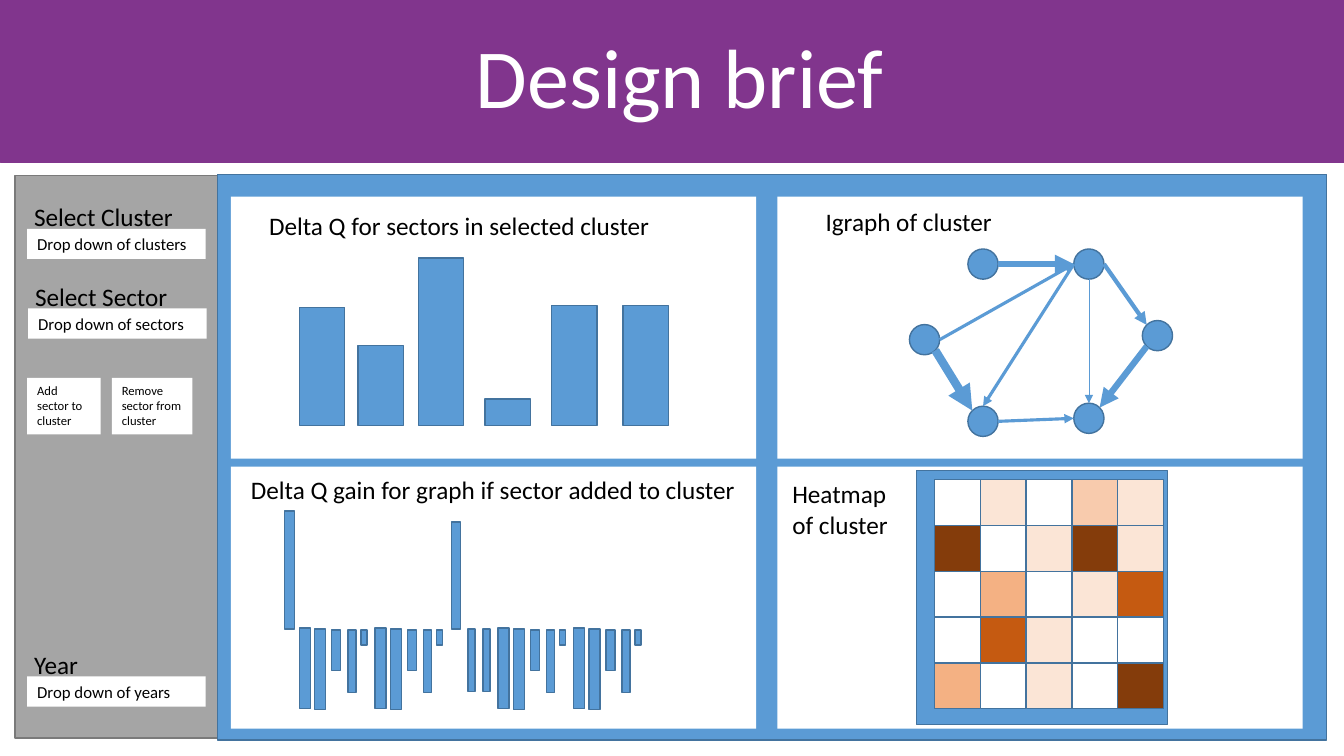
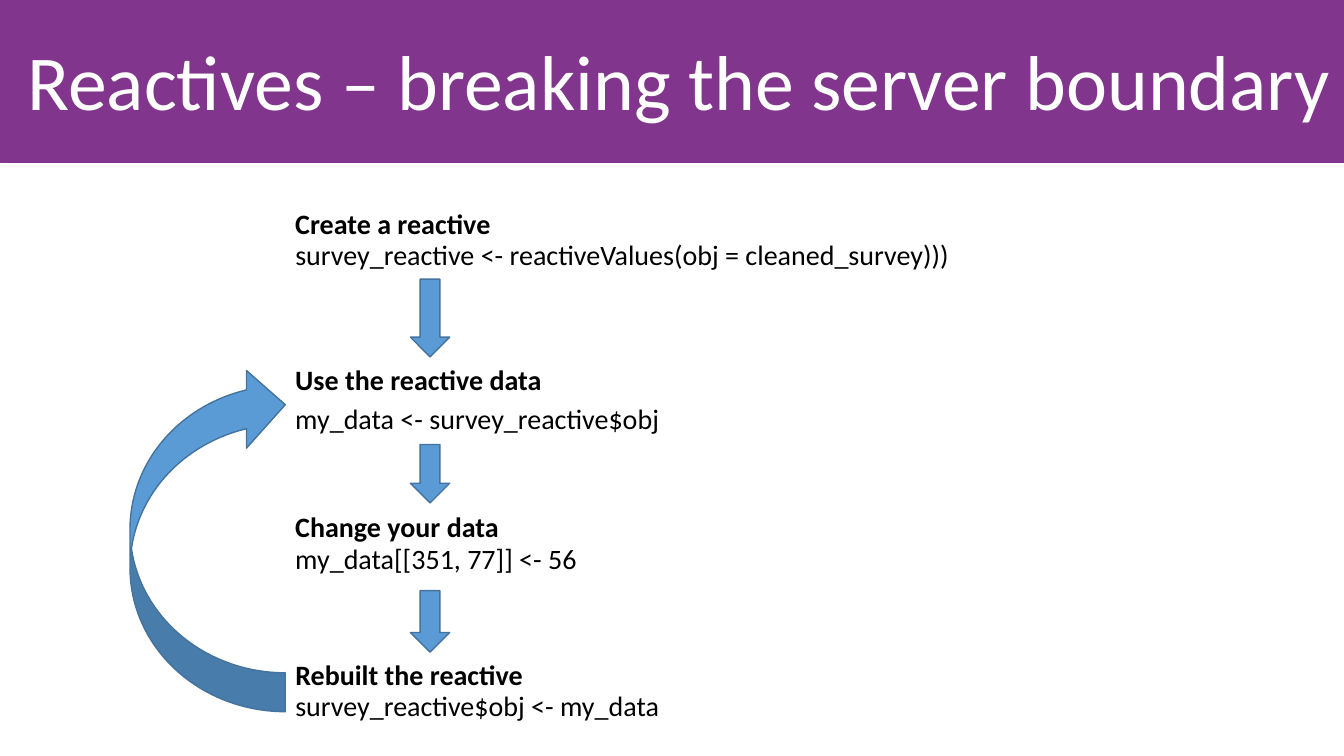
from lxml import etree
from pptx import Presentation
from pptx.dml.color import RGBColor
from pptx.enum.shapes import MSO_CONNECTOR, MSO_SHAPE
from pptx.enum.text import MSO_ANCHOR, MSO_AUTO_SIZE, PP_ALIGN
from pptx.oxml.ns import qn
from pptx.util import Inches, Pt

RECT, OVAL = MSO_SHAPE.RECTANGLE, MSO_SHAPE.OVAL
DOWN_ARROW, CURVED_ARROW = MSO_SHAPE.DOWN_ARROW, MSO_SHAPE.CURVED_RIGHT_ARROW
STRAIGHT = MSO_CONNECTOR.STRAIGHT
TOP, BOTTOM = MSO_ANCHOR.TOP, MSO_ANCHOR.BOTTOM
LEFT, CENTER = PP_ALIGN.LEFT, PP_ALIGN.CENTER
FIT, FIXED = MSO_AUTO_SIZE.SHAPE_TO_FIT_TEXT, MSO_AUTO_SIZE.NONE

FONT = "Calibri"
COLORS = {
    "purple": "81358D", "white": "FFFFFF", "black": "000000",
    "grey": "A5A5A5", "grey_edge": "7A7A7A",
    "blue": "5B9BD5", "blue_edge": "43739E",
    "heat1": "FBE5D6", "heat2": "F8CBAD", "heat3": "F4B183",
    "heat4": "C55A11", "heat5": "843C0B",
}
COLORS = {name: RGBColor.from_string(value) for name, value in COLORS.items()}


def add_block(shapes, left, top, width, height, kind=RECT, fill="blue",
              edge="blue_edge", weight=1):
    block = shapes.add_shape(kind, Inches(left), Inches(top),
                             Inches(width), Inches(height))
    block.shadow.inherit = False
    block.fill.solid()
    block.fill.fore_color.rgb = COLORS[fill]
    if edge:
        block.line.color.rgb = COLORS[edge]
        block.line.width = Pt(weight)
    else:
        block.line.fill.background()
    return block


def add_text(shapes, text, left, top, width, height, size=18, color="black",
             bold=False, align=LEFT, anchor=TOP, wrap=True, fit=FIT,
             spacing=None, fill=None):
    box = shapes.add_textbox(Inches(left), Inches(top),
                             Inches(width), Inches(height))
    if fill:
        box.fill.solid()
        box.fill.fore_color.rgb = COLORS[fill]
    frame = box.text_frame
    frame.word_wrap = wrap
    frame.auto_size = fit
    frame.vertical_anchor = anchor
    para = frame.paragraphs[0]
    para.alignment = align
    if spacing:
        para.line_spacing = spacing
    span = para.add_run()
    span.text = text
    span.font.name = FONT
    span.font.size = Pt(size)
    span.font.bold = bold
    span.font.color.rgb = COLORS[color]


deck = Presentation()
deck.slide_width, deck.slide_height = Inches(13.33), Inches(7.5)

# Title bands
pages = []
for title, size in [("Design brief", 60),
                    ("Reactives – breaking the server boundary", 55.5)]:
    page = deck.slides.add_slide(deck.slide_layouts[6])
    add_block(page.shapes, 0, -0.01, 13.33, 1.62, fill="purple",
              edge="purple", weight=0.5)
    add_text(page.shapes, title, 0.15, 0.1, 13.18, 1.21, size=size,
             color="white", align=CENTER, anchor=BOTTOM, fit=FIXED, spacing=0.9)
    pages.append(page.shapes)
brief, reactives = pages

# Dashboard frame: sidebar, main area and four panels
add_block(brief, 0.15, 1.74, 13, 5.58, fill="grey", edge="grey_edge")
add_block(brief, 2.16, 1.73, 11, 5.61)
for left in (2.29, 7.71):
    for top in (1.95, 4.63):
        add_block(brief, left, top, 5.21, 2.6, fill="white", edge=None)

# Sidebar inputs
for label, choice, left, top in [
    ("Select Cluster", "Drop down of clusters", 0.24, 1.95),
    ("Select Sector", "Drop down of sectors", 0.25, 2.74),
    ("Year", "Drop down of years", 0.24, 6.39),
]:
    add_text(brief, label, left, top, 1.77, 0.4)
    add_text(brief, choice, left + 0.03, top + 0.32, 1.77, 0.3, size=12,
             fill="white")
for label, left, width in [("Add sector to cluster", 0.27, 0.73),
                           ("Remove sector from cluster", 1.11, 0.8)]:
    add_text(brief, label, left, 3.75, width, 0.56, size=9, fill="white")

# Panel headings
for heading, left, top, width in [
    ("Delta Q for sectors in selected cluster", 2.57, 2.04, 4.02),
    ("Delta Q gain for graph if sector added to cluster", 2.39, 4.66, 5.06),
    ("Igraph of cluster", 8.09, 2, 1.87),
]:
    add_text(brief, heading, left, top, width, 0.4, wrap=False)
add_text(brief, "Heatmap of cluster", 7.76, 4.7, 1.26, 0.71)

# Sketch of sector bars, standing on one baseline
SECTOR_BASE = 4.22
for left, height in [(2.97, 1.17), (3.55, 0.79), (4.15, 1.66),
                     (4.81, 0.26), (5.47, 1.19), (6.18, 1.19)]:
    add_block(brief, left, SECTOR_BASE - height, 0.45, height)

# Sketch of gain bars: two gains, two single losses, a repeated run of losses
GAIN_BASE = 6.24
for left, width, height in [(2.82, 0.1, 1.17), (4.48, 0.09, 1.06)]:
    add_block(brief, left, GAIN_BASE - height, width, height)
for left in (4.64, 4.79):
    add_block(brief, left, GAIN_BASE, 0.07, 0.62)
for start in (2.97, 3.72, 4.94, 5.69):
    for offset, top, width, height in [
        (0, 6.23, 0.11, 0.8), (0.15, 6.24, 0.11, 0.8),
        (0.32, 6.25, 0.09, 0.4), (0.48, 6.25, 0.08, 0.62),
        (0.61, 6.25, 0.06, 0.15),
    ]:
        add_block(brief, start + offset, top, width, height)

# Network: node centres, then edges between points on the node rims
RADIUS = 0.15
NODES = {
    "upper right": (10.8, 2.62), "upper left": (9.75, 2.62),
    "far left": (9.17, 3.37), "lower left": (9.75, 4.18),
    "lower right": (10.8, 4.15), "far right": (11.48, 3.33),
}
RIM = {"n": (0, -1), "s": (0, 1), "w": (-1, 0), "e": (1, 0),
       "nw": (-0.71, -0.71), "ne": (0.71, -0.71),
       "sw": (-0.71, 0.71), "se": (0.71, 0.71)}
EDGES = [
    ("upper right", "e", "far right", "nw", 3),
    ("upper right", "s", "lower right", "n", 0.5),
    ("upper right", "w", "lower left", "n", 2.25),
    ("far left", "e", "upper right", "w", 2.25),
    ("far left", "se", "lower left", "nw", 6),
    ("far right", "sw", "lower right", "ne", 4.5),
    ("upper left", "e", "upper right", "w", 4.5),
    ("lower left", "e", "lower right", "w", 2.25),
]
network = brief.add_group_shape().shapes
for x, y in NODES.values():
    add_block(network, x - RADIUS, y - RADIUS, 2 * RADIUS, 2 * RADIUS, kind=OVAL)
for source, source_side, target, target_side, weight in EDGES:
    ends = []
    for node, side in [(source, source_side), (target, target_side)]:
        for centre, direction in zip(NODES[node], RIM[side]):
            ends.append(Inches(centre + RADIUS * direction))
    edge = network.add_connector(STRAIGHT, *ends)
    edge.line.color.rgb = COLORS["blue"]
    edge.line.width = Pt(weight)
    properties = edge.element.spPr
    etree.SubElement(properties.find(qn("a:ln")), qn("a:tailEnd"),
                     type="triangle")
    etree.SubElement(properties, qn("a:effectLst"))

# Heatmap: each digit is a heat level, 0 is white
CELL = 2.27 / 5
add_block(brief, 9.09, 4.67, 2.49, 2.52)
for row, levels in enumerate(["01021", "50151", "03014", "04100", "30105"]):
    for column, level in enumerate(levels):
        add_block(brief, 9.27 + column * CELL, 4.76 + row * CELL, CELL, CELL,
                  fill="white" if level == "0" else "heat" + level)

# Reactive steps: heading above its code line
for heading, top, heading_width, code, code_top, code_width, wrap in [
    ("Create a reactive", 2, 2.16,
     "survey_reactive <- reactiveValues(obj = cleaned_survey)))", 2.31, 8.18, True),
    ("Use the reactive data", 3.55, 2.73,
     "my_data <- survey_reactive$obj", 3.93, 6.67, True),
    ("Change your data", 5.01, 2.3,
     "my_data[[351, 77]] <- 56", 5.32, 6.67, True),
    ("Rebuilt the reactive", 6.47, 2.48,
     "survey_reactive$obj <- my_data", 6.78, 3.85, False),
]:
    step = reactives.add_group_shape().shapes
    add_text(step, code, 2.83, code_top, code_width, 0.44, size=20, wrap=wrap)
    add_text(step, heading, 2.83, top, heading_width, 0.44, size=20, bold=True,
             wrap=False)

# Arrows between steps, and the loop back to the second step
for top, height in [(2.77, 0.77), (4.41, 0.58), (5.86, 0.61)]:
    add_block(reactives, 4.07, top, 0.39, height, kind=DOWN_ARROW)
loop = add_block(reactives, 1.29, 3.63, 1.54, 3.43, kind=CURVED_ARROW)
loop.rotation = 180
loop.element.spPr.find(qn("a:xfrm")).set("flipH", "1")

deck.save("out.pptx")
